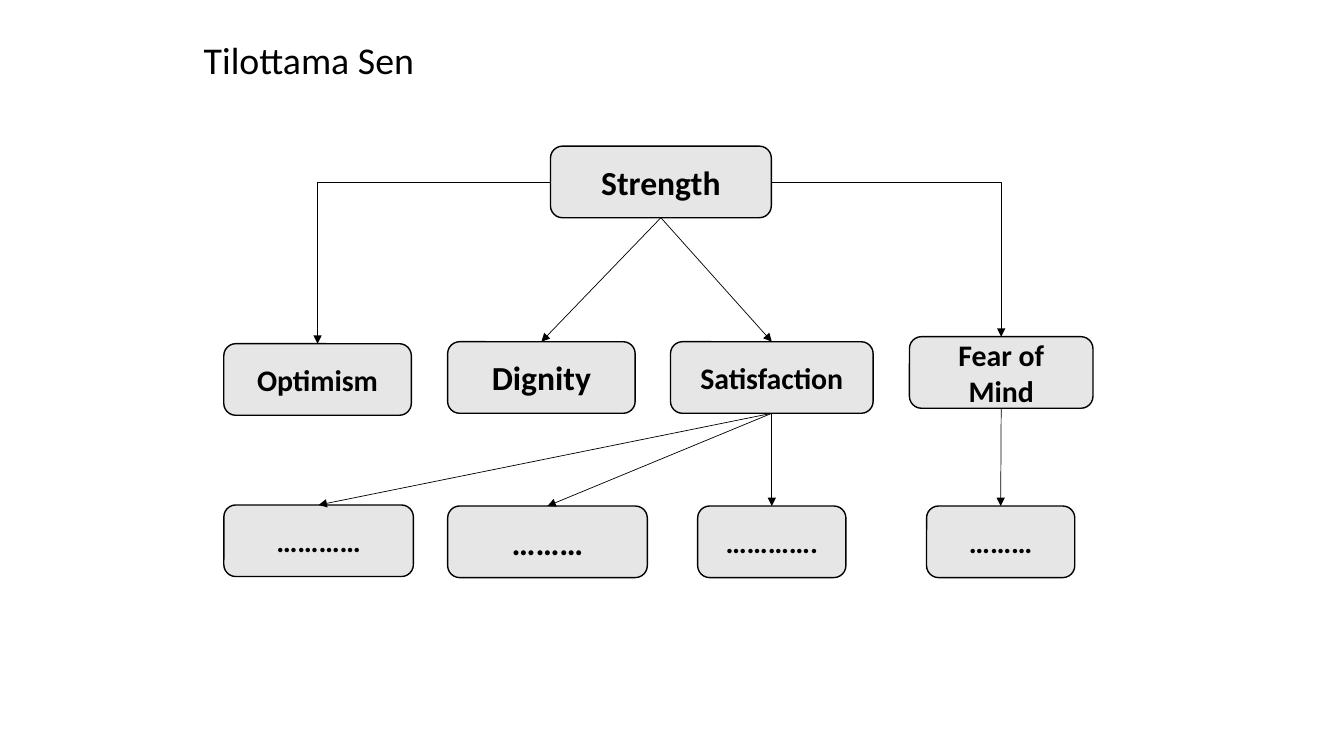
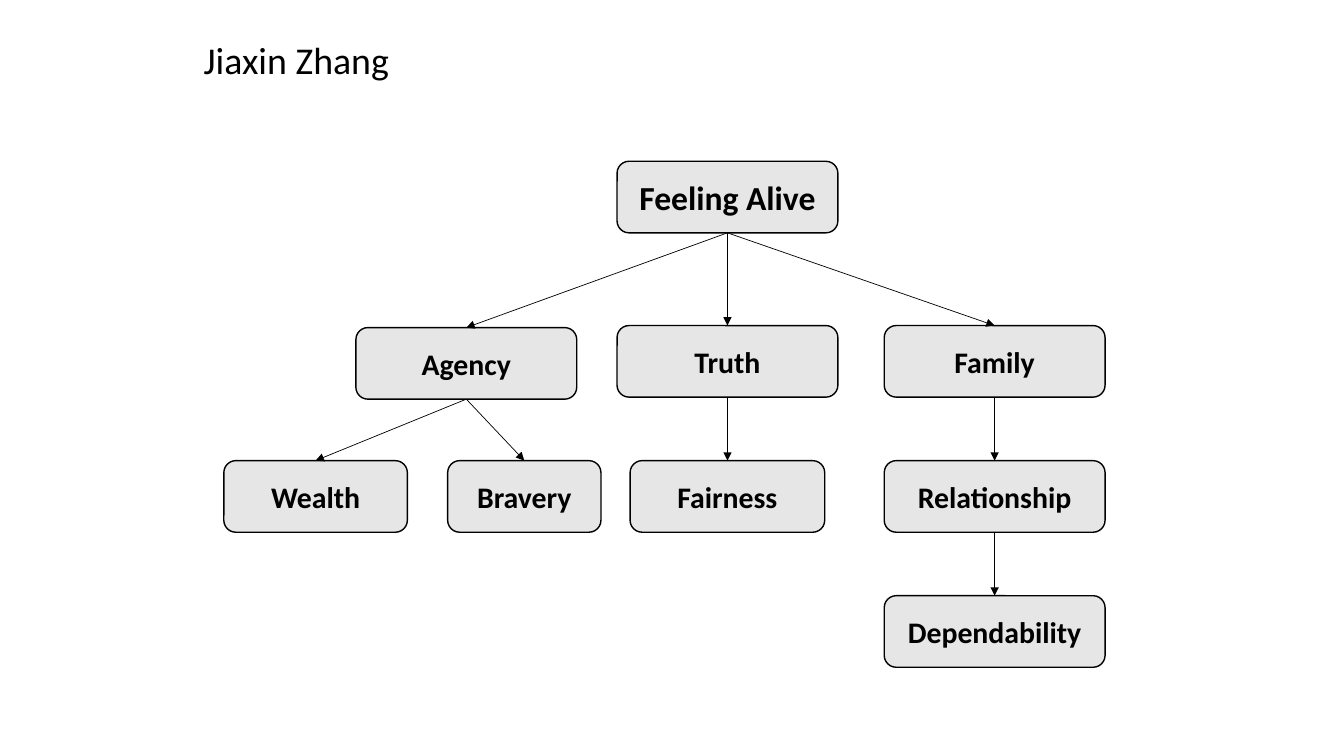
"""Build two value-ladder slides with boxes joined by arrows."""
import pptx
import pptx.util
import pptx.dml.color
import pptx.enum.shapes
import pptx.enum.text
import pptx.oxml.ns
import lxml.etree

Inches, Pt = pptx.util.Inches, pptx.util.Pt
FONT, INK, GREY = "Calibri", "000000", "E7E6E6"
BIG, SMALL = 24, 21.3
HIGH, INSET = 0.71, 0.12
TOP, LEFT, BASE, RIGHT = range(4)

SLIDES = [
    {
        "title": "Tilottama Sen",
        "boxes": {
            "root": ("Strength", 5.46, 1.45, 2.19, BIG),
            "hope": ("Optimism", 2.22, 3.41, 1.86, SMALL),
            "worth": ("Dignity", 4.44, 3.39, 1.86, BIG),
            "joy": ("Satisfaction", 6.65, 3.39, 2.01, SMALL),
            "fear": ("Fear of Mind", 9.02, 3.34, 1.82, SMALL),
            "open 1": ("…………", 2.22, 5.01, 1.88, SMALL),
            "open 2": ("………", 4.44, 5.02, 1.98, BIG),
            "open 3": ("………….", 6.92, 5.02, 1.47, SMALL),
            "open 4": ("………", 9.19, 5.02, 1.47, SMALL),
        },
        "links": [
            ("root", LEFT, "hope"),
            ("root", BASE, "worth"),
            ("root", BASE, "joy"),
            ("root", RIGHT, "fear"),
            ("joy", BASE, "open 1"),
            ("joy", BASE, "open 2"),
            ("joy", BASE, "open 3"),
            ("fear", BASE, "open 4"),
        ],
    },
    {
        "title": "Jiaxin Zhang",
        "boxes": {
            "root": ("Feeling Alive", 6.12, 1.6, 2.19, BIG),
            "agent": ("Agency", 3.53, 3.25, 2.19, SMALL),
            "truth": ("Truth", 6.12, 3.23, 2.19, SMALL),
            "kin": ("Family", 8.77, 3.23, 2.19, SMALL),
            "wealth": ("Wealth", 2.22, 4.57, 1.82, SMALL),
            "brave": ("Bravery", 4.44, 4.57, 1.52, SMALL),
            "fair": ("Fairness", 6.25, 4.57, 1.93, SMALL),
            "bond": ("Relationship", 8.77, 4.57, 2.19, SMALL),
            "trust": ("Dependability", 8.77, 5.91, 2.19, SMALL),
        },
        "links": [
            ("root", BASE, "agent"),
            ("root", BASE, "truth"),
            ("root", BASE, "kin"),
            ("agent", BASE, "wealth"),
            ("agent", BASE, "brave"),
            ("truth", BASE, "fair"),
            ("kin", BASE, "bond"),
            ("bond", BASE, "trust"),
        ],
    },
]


def paint(color, code):
    color.rgb = pptx.dml.color.RGBColor.from_string(code)


def write(shape, text, size, bold, align):
    frame = shape.text_frame
    frame.text = text
    frame.word_wrap = True
    frame.auto_size = pptx.enum.text.MSO_AUTO_SIZE.NONE
    frame.vertical_anchor = pptx.enum.text.MSO_ANCHOR.MIDDLE
    para = frame.paragraphs[0]
    para.alignment = align
    font = para.font
    font.name, font.size, font.bold = FONT, Pt(size), bold
    paint(font.color, INK)


def head(slide, text):
    title = slide.shapes.title
    title.left, title.top = Inches(1.92), Inches(0.32)
    title.width, title.height = Inches(7.86), Inches(0.53)
    write(title, text, 27, False, pptx.enum.text.PP_ALIGN.LEFT)


def box(slide, text, left, top, width, size):
    shape = slide.shapes.add_shape(
        pptx.enum.shapes.MSO_SHAPE.ROUNDED_RECTANGLE,
        Inches(left), Inches(top), Inches(width), Inches(HIGH))
    shape.shadow.inherit = False
    shape.fill.solid()
    paint(shape.fill.fore_color, GREY)
    paint(shape.line.color, INK)
    shape.line.width = Pt(1)
    frame = shape.text_frame
    frame.margin_left = frame.margin_right = Inches(INSET)
    write(shape, text, size, True, pptx.enum.text.PP_ALIGN.CENTER)
    return shape


def link(slide, start, side, end):
    kinds = pptx.enum.shapes.MSO_CONNECTOR
    bent = side != BASE
    line = slide.shapes.add_connector(
        kinds.ELBOW if bent else kinds.STRAIGHT, 0, 0, 0, 0)
    line.begin_connect(start, side)
    line.end_connect(end, TOP)
    paint(line.line.color, INK)
    line.line.width = Pt(0.5)
    qn = pptx.oxml.ns.qn
    props = line._element.spPr
    if bent:
        props.find(qn("a:prstGeom")).set("prst", "bentConnector2")
    lxml.etree.SubElement(props.find(qn("a:ln")), qn("a:tailEnd"), type="triangle")
    lxml.etree.SubElement(props, qn("a:effectLst"))


def main():
    deck = pptx.Presentation()
    deck.slide_width, deck.slide_height = Inches(13.33), Inches(7.5)
    for page in SLIDES:
        slide = deck.slides.add_slide(deck.slide_layouts[5])
        head(slide, page["title"])
        shapes = {name: box(slide, *data) for name, data in page["boxes"].items()}
        for start, side, end in page["links"]:
            link(slide, shapes[start], side, shapes[end])
    deck.save("out.pptx")


if __name__ == "__main__":
    main()
